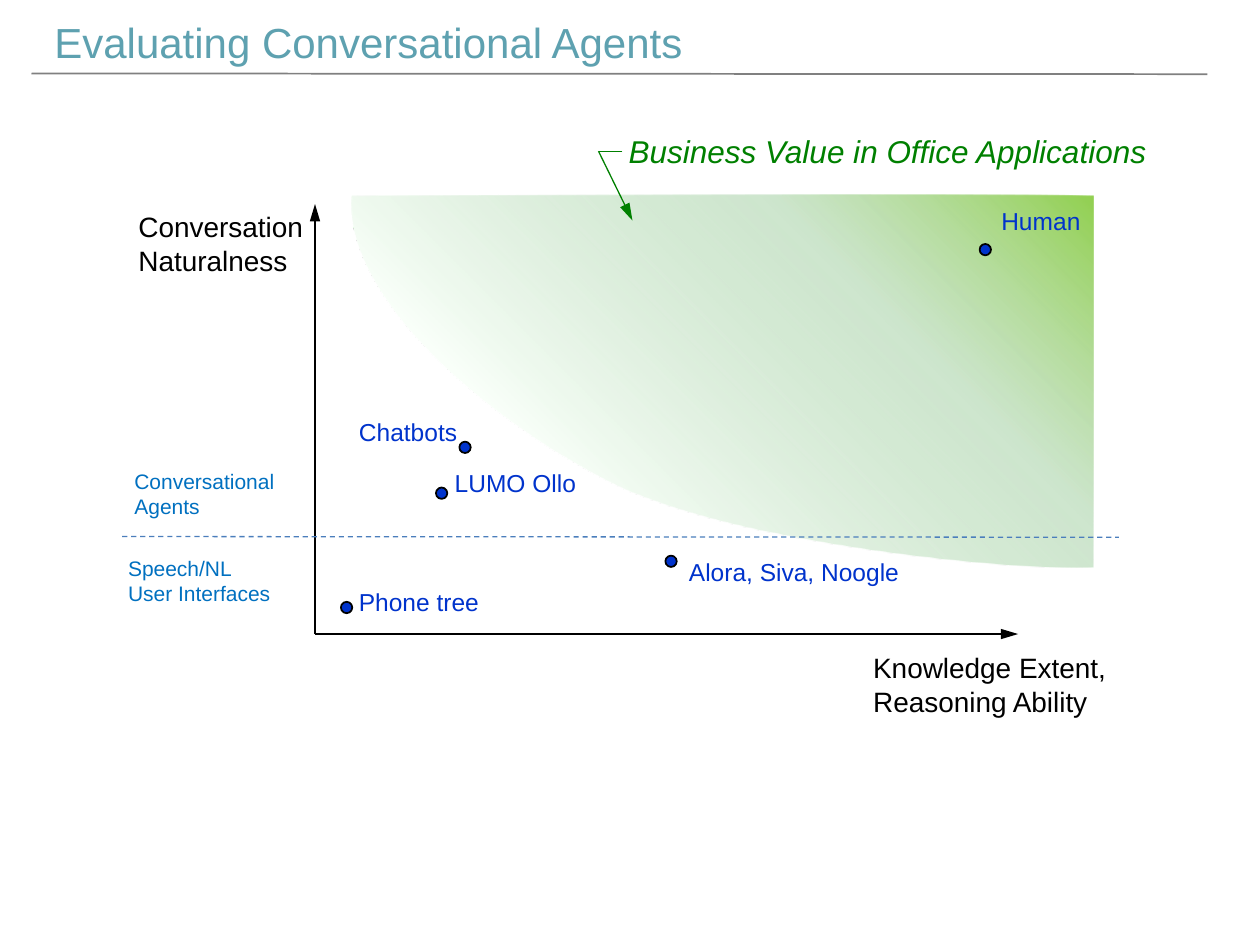
from lxml import etree
from pptx import Presentation
from pptx.dml.color import RGBColor
from pptx.enum import dml, shapes, text
from pptx.oxml import parse_xml
from pptx.oxml.ns import nsdecls, qn
from pptx.util import Pt

BLACK = RGBColor(0, 0, 0)
GRAY = RGBColor(0x80, 0x80, 0x80)
TEAL = RGBColor(0x5E, 0xA1, 0xB0)
GREEN = RGBColor(0, 0x80, 0)
BLUE = RGBColor(0, 0x33, 0xCC)
SKY = RGBColor(0, 0x70, 0xC0)
DIVIDER = RGBColor(0x4B, 0x7E, 0xBC)

DOT = 6.5

# Value region: start point, then cubic curves (two controls and an end)
REGION_START = (135.2, 39.6)
REGION_CURVES = [
    ((129.8, 97.2), (213.4, 168.5), (283.9, 203.8)),
    ((354.5, 239), (515, 254.2), (558.7, 252)),
    ((559, 206.6), (559, 121), (559, 39.6)),
    ((487, 38.2), (193.9, 39.6), REGION_START),
]
# Gradient stops: position %, colour, opacity %
REGION_STOPS = [(0, "92D050", 100), (29, "B5D9B5", 67), (73, "F9FFF9", 100)]

# Name, label position, label width, dot position
AGENTS = [
    ("Chatbots", (132, 162.7), 71.3, (196.5, 180.4)),
    ("Phone tree", (132, 259.9), 83.5, (128.8, 271.9)),
    ("LUMO Ollo", (186.7, 191.9), 84, (183.1, 206.6)),
    ("Human", (499.1, 42.2), 60, (493.8, 67.4)),
    ("Alora, Siva, Noogle", (320.6, 243), 135, (314.2, 245.5)),
]

# Lines, position, width, size, colour
CAPTIONS = [
    (["Conversation", "Naturalness"], (6, 44.3), 110, 16, BLACK),
    (["Knowledge Extent,", "Reasoning Ability"], (425.9, 296.3), 149, 16, BLACK),
    (["Speech/NL", "User Interfaces"], (0.1, 241.9), 97, 12, SKY),
    (["Conversational", "Agents"], (3.7, 192.2), 95, 12, SKY),
]


def add_label(page, lines, left, top, width, size, color, italic=False):
    height = len(lines) * size * 1.2 + 7.2
    box = page.shapes.add_textbox(Pt(left), Pt(top), Pt(width), Pt(height))
    frame = box.text_frame
    frame.word_wrap = False
    frame.auto_size = text.MSO_AUTO_SIZE.SHAPE_TO_FIT_TEXT
    for index, line in enumerate(lines):
        para = frame.add_paragraph() if index else frame.paragraphs[0]
        span = para.add_run()
        span.text = line
        span.font.name = "Arial"
        span.font.size = Pt(size)
        span.font.italic = italic
        span.font.color.rgb = color


def add_line(page, start, end, color, weight, arrow=False, dash=False):
    line = page.shapes.add_connector(
        shapes.MSO_CONNECTOR.STRAIGHT, *(Pt(v) for v in (*start, *end)))
    line.line.color.rgb = color
    line.line.width = Pt(weight)
    if dash:
        line.line.dash_style = dml.MSO_LINE.DASH
    if arrow:
        etree.SubElement(line.line._get_or_add_ln(), qn("a:tailEnd"),
                         type="triangle", w="med", len="lg")
    etree.SubElement(line._element.spPr, qn("a:effectLst"))


def add_value_region(page, left, top):
    def place(point):
        return Pt(left + point[0]), Pt(top + point[1])

    builder = page.shapes.build_freeform(*place(REGION_START))
    builder.add_line_segments([place(curve[-1]) for curve in REGION_CURVES], close=True)
    region = builder.convert_to_shape()
    region.shadow.inherit = False
    region.line.fill.background()
    region.fill.background()
    props = region._element.spPr

    # Bend each side into its cubic curve
    for side, curve in zip(list(props.iter(qn("a:lnTo"))), REGION_CURVES):
        bend = etree.Element(qn("a:cubicBezTo"))
        for x, y in map(place, curve):
            etree.SubElement(bend, qn("a:pt"), x=str(x - region.left), y=str(y - region.top))
        side.getparent().replace(side, bend)

    # Three-stop gradient, partly transparent in the middle
    stops = "".join(
        f'<a:gs pos="{pos * 1000}"><a:srgbClr val="{color}">'
        f'<a:alpha val="{opacity * 1000}"/></a:srgbClr></a:gs>'
        for pos, color, opacity in REGION_STOPS)
    gradient = parse_xml(
        f'<a:gradFill {nsdecls("a")} rotWithShape="1"><a:gsLst>{stops}</a:gsLst>'
        '<a:lin ang="8100000" scaled="0"/></a:gradFill>')
    props.replace(props.find(qn("a:noFill")), gradient)


def add_dot(page, left, top):
    dot = page.shapes.add_shape(
        shapes.MSO_SHAPE.OVAL, Pt(left), Pt(top), Pt(DOT), Pt(DOT))
    dot.shadow.inherit = False
    dot.fill.solid()
    dot.fill.fore_color.rgb = BLUE
    dot.line.color.rgb = BLACK
    dot.line.width = Pt(1)


def add_heading(page, left, top, width):
    add_label(page, ["Evaluating Conversational Agents"], left + 6, top, 377, 24, TEAL)
    add_line(page, (left, top + 36), (left + width, top + 36.4), GRAY, 1)


def add_agent_map(page, left, top):
    def at(x, y):
        return left + x, top + y

    # Value region with its callout
    add_value_region(page, left, top)
    add_label(page, ["Business Value in Office Applications"],
              *at(286.2, 0), 313, 18, GREEN, italic=True)
    elbow = at(276, 14.4)
    add_line(page, at(289.7, 14.4), elbow, GREEN, 0.75)
    add_line(page, elbow, at(295.4, 54), GREEN, 0.75, arrow=True)

    # Axes and divider
    origin = at(114, 290.3)
    for tip in (at(114, 44.6), at(515.8, 290.3)):
        add_line(page, origin, tip, BLACK, 1, arrow=True)
    add_line(page, at(3.8, 234.6), at(573.4, 235), DIVIDER, 0.75, dash=True)

    # Axis and band captions
    for lines, position, width, size, color in CAPTIONS:
        add_label(page, lines, *at(*position), width, size, color)

    # Agents
    for name, label, width, dot in AGENTS:
        add_label(page, [name], *at(*label), width, 14, BLUE)
        add_dot(page, *at(*dot))


def main():
    deck = Presentation()
    deck.slide_width, deck.slide_height = Pt(720), Pt(540)
    page = deck.slides.add_slide(deck.slide_layouts[6])
    add_heading(page, 18, 6, 672)
    add_agent_map(page, 66, 72)
    deck.save("out.pptx")


if __name__ == "__main__":
    main()
